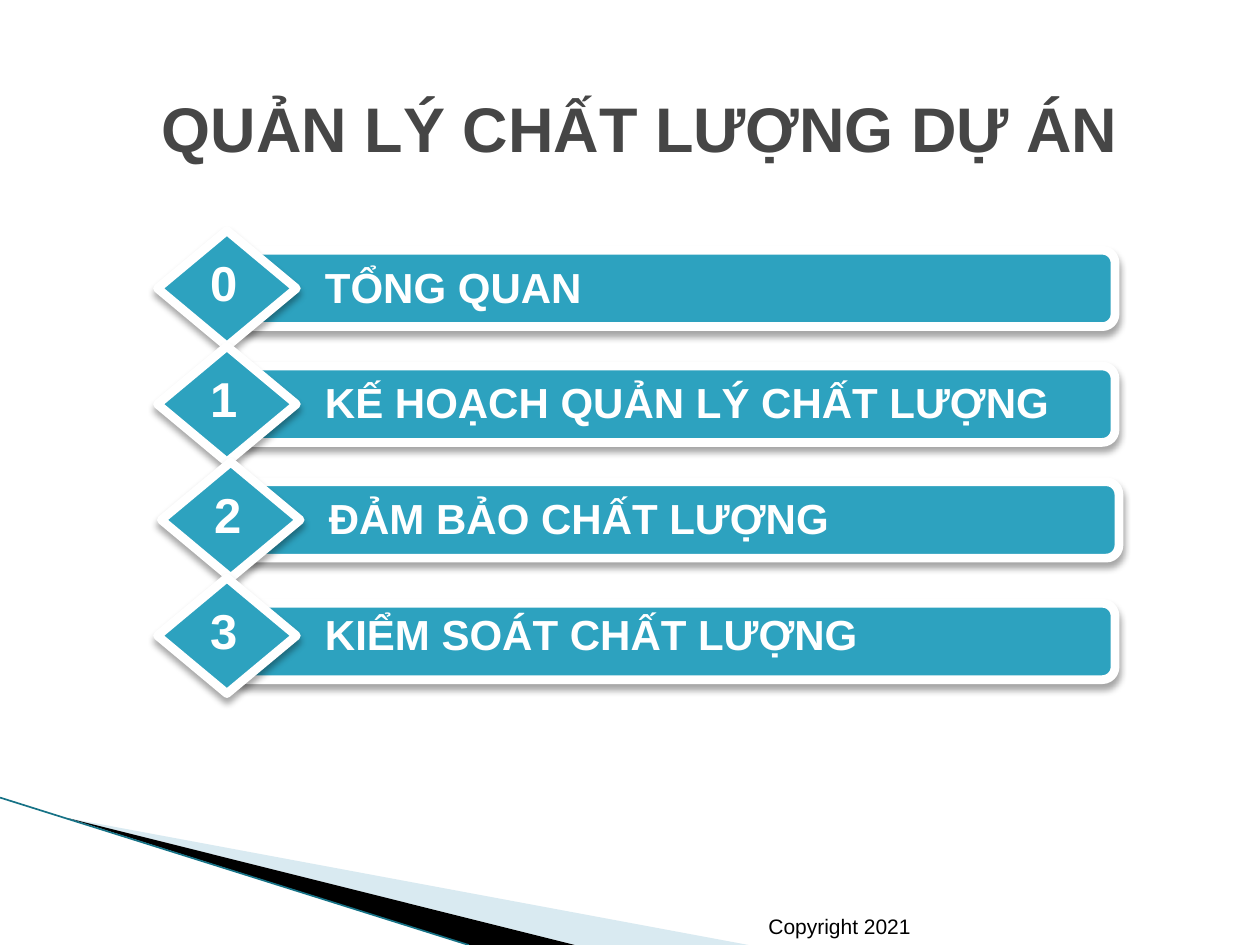
from lxml import etree
from pptx import Presentation
from pptx import util as u
from pptx.dml.color import RGBColor
from pptx.enum import shapes, text
from pptx.oxml import ns

W, H = u.Inches(10), u.Inches(7.5)
COLORS = {"teal": "2DA2BF", "white": "FFFFFF", "title": "464646",
          "black": "000000", "mist": "A0CBDC", "edge": "167286"}
TOPICS = ["TỔNG QUAN", "KẾ HOẠCH QUẢN LÝ CHẤT LƯỢNG",
          "ĐẢM BẢO CHẤT LƯỢNG", "KIỂM SOÁT CHẤT LƯỢNG"]


def rgb(name):
    """Look up a palette colour."""
    return RGBColor.from_string(COLORS[name])


def part(box, x, y, w, h):
    """Return a sub-box given as shares of a box."""
    bx, by, bw, bh = box
    return int(bx + x * bw), int(by + y * bh), int(w * bw), int(h * bh)


def add_text(parent, box, words, size, color="white", bold=True, wrap=True,
             align=text.PP_ALIGN.LEFT, anchor=text.MSO_ANCHOR.TOP):
    """Add one line of Arial text in a box."""
    tf = parent.add_textbox(*box).text_frame
    tf.word_wrap = wrap
    tf.vertical_anchor = anchor
    p = tf.paragraphs[0]
    p.alignment = align
    r = p.add_run()
    r.text = words
    f = r.font
    f.name, f.size, f.bold = "Arial", u.Pt(size), bold
    f.color.rgb = rgb(color)


def add_effects(sp, shadow=False):
    """Replace inherited effects, with a soft drop shadow if asked."""
    effects = etree.SubElement(sp._element.spPr, ns.qn("a:effectLst"))
    if shadow:
        drop = etree.SubElement(effects, ns.qn("a:outerShdw"), blurRad=str(u.Pt(4)),
                                dist=str(u.Pt(3)), dir="5400000", rotWithShape="0")
        color = etree.SubElement(drop, ns.qn("a:srgbClr"), val=COLORS["black"])
        etree.SubElement(color, ns.qn("a:alpha"), val="35000")


def add_tile(parent, kind, box):
    """Add a teal shape with a thick white outline and a shadow."""
    sp = parent.add_shape(kind, *box)
    sp.fill.solid()
    sp.fill.fore_color.rgb = rgb("teal")
    sp.line.color.rgb = rgb("white")
    sp.line.width = u.Pt(5)
    add_effects(sp, shadow=True)


def add_topic(s, box, number, label, drop=0):
    """Draw a numbered diamond and its title bar."""
    group = s.shapes.add_group_shape().shapes
    add_tile(group, shapes.MSO_SHAPE.ROUNDED_RECTANGLE, part(box, 0.08, 0.17 + drop, 0.92, 0.66))
    add_tile(group, shapes.MSO_SHAPE.DIAMOND, part(box, 0, 0, 0.145, 1))
    add_text(group, part(box, 0.162, 0.21, 0.83, 0.55), label, 24)
    add_text(group, part(box, 0.042, 0.14, 0.055, 0.7), str(number), 28,
             wrap=False, align=text.PP_ALIGN.CENTER)


def add_topics(s, box):
    """Stack the topics in equal rows, with the small shifts of the last two."""
    shifts, drops = {2: 0.004}, {3: 0.05}
    step = 1 / len(TOPICS)
    for i, label in enumerate(TOPICS):
        row = part(box, shifts.get(i, 0), i * step, 1, step)
        add_topic(s, row, i, label, drops.get(i, 0))


def add_wedge(s, box, points, color, alpha=None):
    """Fill a triangle whose corners are shares of a box."""
    corners = [part(box, x, y, 0, 0)[:2] for x, y in points]
    builder = s.shapes.build_freeform(*corners[0], scale=1.0)
    builder.add_line_segments(corners[1:], close=True)
    sp = builder.convert_to_shape()
    sp.shadow.inherit = False
    sp.fill.solid()
    sp.fill.fore_color.rgb = rgb(color)
    sp.line.fill.background()
    if alpha:
        fill = sp._element.spPr.find(ns.qn("a:solidFill"))
        etree.SubElement(fill[0], ns.qn("a:alpha"), val=str(alpha * 1000))


def add_corner(s, box):
    """Draw the swept corner from two wedges and an edge line."""
    tip = (0.09, 0.14)
    add_wedge(s, box, [tip, (0.99, 1), (0.76, 1)], "mist", alpha=40)
    add_wedge(s, box, [tip, (0.76, 1), (0.62, 1)], "black")
    x, y, w, h = part(box, 0, 0, 0.62, 1)
    line = s.shapes.add_connector(shapes.MSO_CONNECTOR.STRAIGHT, x, y, x + w, y + h)
    line.line.color.rgb = rgb("edge")
    line.line.width = u.Pt(0.95)
    add_effects(line)


def main():
    """Build and save the slide."""
    prs = Presentation()
    prs.slide_width, prs.slide_height = W, H
    s = prs.slides.add_slide(prs.slide_layouts[6])
    page = (0, 0, W, H)
    add_corner(s, part(page, 0, 0.844, 0.6, 0.156))
    add_text(s.shapes, part(page, 0.6, 0.947, 0.175, 0.053), "Copyright 2021", 12,
             color="black", bold=False, anchor=text.MSO_ANCHOR.BOTTOM)
    add_text(s.shapes, part(page, 0.083, 0.07, 0.85, 0.13), "QUẢN LÝ CHẤT LƯỢNG DỰ ÁN", 36,
             color="title", align=text.PP_ALIGN.CENTER, anchor=text.MSO_ANCHOR.MIDDLE)
    add_topics(s, part(page, 0.125, 0.244, 0.76, 0.49))
    prs.save("out.pptx")


if __name__ == "__main__":
    main()
